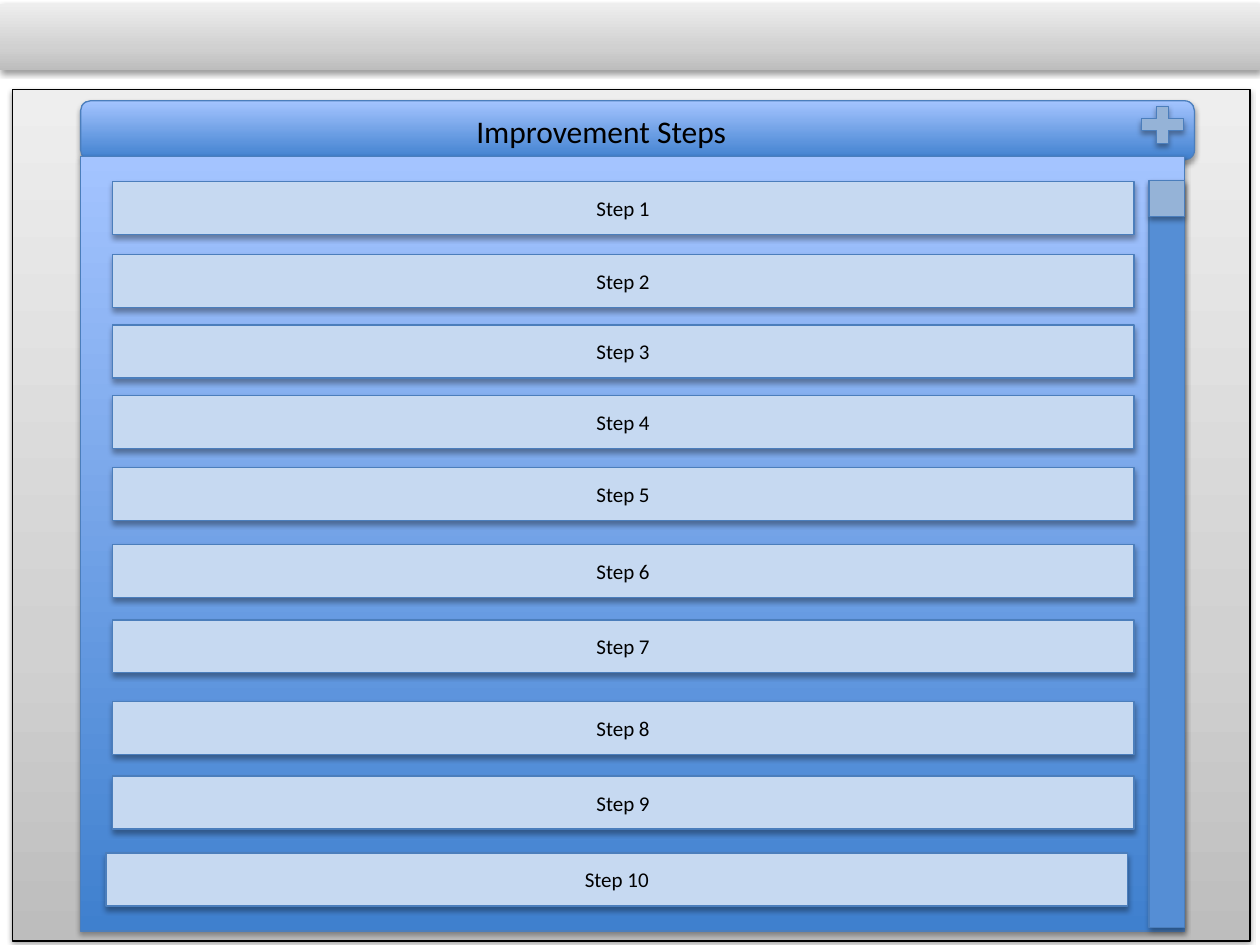
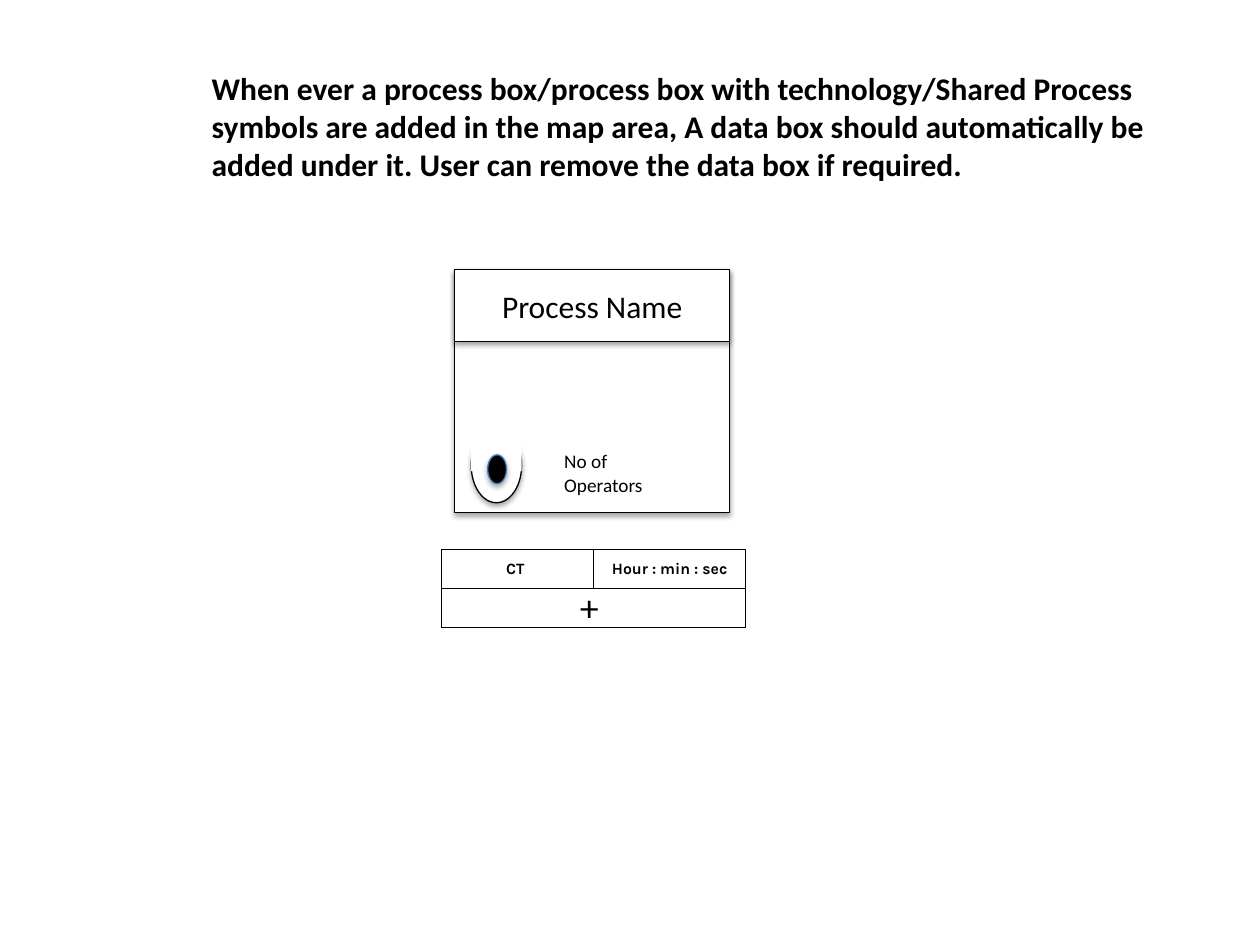
from lxml import etree
from pptx import Presentation
from pptx.dml.color import RGBColor
from pptx.enum.shapes import MSO_SHAPE
from pptx.enum.text import MSO_ANCHOR, MSO_AUTO_SIZE, PP_ALIGN
from pptx.oxml.ns import qn
from pptx.util import Inches, Pt

RECT = MSO_SHAPE.RECTANGLE
ROUNDED = MSO_SHAPE.ROUNDED_RECTANGLE
OVAL = MSO_SHAPE.OVAL
PLUS = MSO_SHAPE.MATH_PLUS
TOP, MIDDLE = MSO_ANCHOR.TOP, MSO_ANCHOR.MIDDLE
LEFT, CENTER = PP_ALIGN.LEFT, PP_ALIGN.CENTER
NO_AUTOFIT = MSO_AUTO_SIZE.NONE

# Shared look
BLACK = RGBColor(0x00, 0x00, 0x00)
WHITE = RGBColor(0xFF, 0xFF, 0xFF)
EDGE_BLUE = RGBColor(0x4B, 0x7E, 0xBC)
STEP_BLUE = RGBColor(0xC6, 0xD9, 0xF1)
TRACK_BLUE = RGBColor(0x55, 0x8E, 0xD5)
HANDLE_BLUE = RGBColor(0x95, 0xB3, 0xD7)
GREY_GRADIENT = [(0, RGBColor(0xBD, 0xBD, 0xBD)), (35, RGBColor(0xD1, 0xD1, 0xD1)),
                 (100, RGBColor(0xEE, 0xEE, 0xEE))]
BLUE_GRADIENT = [(0, RGBColor(0x3F, 0x80, 0xCE)), (100, RGBColor(0xA4, 0xC4, 0xFF))]
FONT, TABLE_FONT = "Calibri", "Karla"

# Grid of 100 columns by 75 rows
SLIDE_WIDTH, SLIDE_HEIGHT = Inches(10), Inches(7.5)
COL, ROW = SLIDE_WIDTH / 100, SLIDE_HEIGHT / 75
TITLE_ONLY = 5

# Step bars: the spacing is uneven, so each has its own row
STEP_ROWS = [14.4, 20.2, 25.8, 31.4, 37.1, 43.2, 49.2, 55.7, 61.6, 67.7]
STEP_COL, LAST_STEP_COL = 8.9, 8.4


def grid(left, top, width, height):
    return [round(left * COL), round(top * ROW), round(width * COL), round(height * ROW)]


def add_element(parent, tag, **attributes):
    return etree.SubElement(parent, qn(tag), attributes)


def add_color(parent, color):
    return add_element(parent, "a:srgbClr", val=str(color))


def paint(shape, fill):
    """Fill with one colour, or with gradient stops that run upwards."""
    if isinstance(fill, RGBColor):
        shape.fill.solid()
        shape.fill.fore_color.rgb = fill
        return
    shape.fill.gradient()
    shape.fill.gradient_angle = 90
    stops = shape.element.spPr.find(".//" + qn("a:gsLst"))
    for stop in list(stops):
        stops.remove(stop)
    for percent, color in fill:
        add_color(add_element(stops, "a:gs", pos=str(percent * 1000)), color)


def cast_shadow(shape, opacity, distance):
    effects = shape.element.spPr.find(qn("a:effectLst"))
    shadow = add_element(effects, "a:outerShdw", blurRad=str(Pt(3.1)),
                         dist=str(Pt(distance)), dir="5400000", rotWithShape="0")
    add_element(add_color(shadow, BLACK), "a:alpha", val=str(opacity * 1000))


def write(frame, text, size, align=LEFT, anchor=TOP, font=FONT, bold=False):
    frame.text = text
    frame.word_wrap = True
    frame.vertical_anchor = anchor
    paragraph = frame.paragraphs[0]
    paragraph.alignment = align
    paragraph.font.name = font
    paragraph.font.size = Pt(size)
    paragraph.font.bold = bold
    paragraph.font.color.rgb = BLACK
    return paragraph


def add_box(shapes, area, fill, edge=EDGE_BLUE, kind=RECT, shadow=(35, 1.8),
            text=None, size=12):
    box = shapes.add_shape(kind, *grid(*area))
    paint(box, fill)
    if edge:
        box.line.color.rgb = edge
        box.line.width = Pt(0.75)
    else:
        box.line.fill.background()
    box.shadow.inherit = False
    if shadow:
        cast_shadow(box, *shadow)
    if text:
        write(box.text_frame, text, size, CENTER, MIDDLE)


def place_title(slide, area, text, bold=False):
    title = slide.shapes.title
    title.left, title.top, title.width, title.height = grid(*area)
    write(title.text_frame, text, 18, bold=bold)
    title.text_frame.auto_size = NO_AUTOFIT
    # Bring the title in front of the panels
    slide.shapes.element.append(title.element)


def border_cell(cell):
    properties = cell._tc.get_or_add_tcPr()
    for index, side in enumerate(("a:lnL", "a:lnR", "a:lnT", "a:lnB")):
        line = etree.Element(qn(side), w=str(Pt(0.5)))
        add_color(add_element(line, "a:solidFill"), BLACK)
        properties.insert(index, line)


def add_data_box(slide, area):
    table = slide.shapes.add_table(2, 2, *grid(*area)).table
    table.first_row = table.horz_banding = False
    for cell in table.iter_cells():
        cell.fill.background()
        border_cell(cell)
        cell.margin_left = cell.margin_right = cell.margin_top = cell.margin_bottom = 0
        cell.vertical_anchor = MIDDLE
    table.cell(1, 0).merge(table.cell(1, 1))
    for row, column, text, size, bold in [(0, 0, "CT ", 9, True),
                                          (0, 1, "Hour : min : sec", 9, True),
                                          (1, 0, "+ ", 20, False)]:
        cell = table.cell(row, column)
        paragraph = write(cell.text_frame, text, size, CENTER, MIDDLE, TABLE_FONT, bold)
        if row == 1:
            paragraph.line_spacing = 0.9
        cell.vertical_anchor = MIDDLE


def build_improvement_steps(slide):
    shapes = slide.shapes
    grey_shadow = (38, 1.6)
    # Backdrop, panel header and panel
    add_box(shapes, (1, 7.1, 98.2, 67.6), GREY_GRADIENT, BLACK, shadow=grey_shadow)
    add_box(shapes, (6.4, 8, 88.4, 4.7), BLUE_GRADIENT, kind=ROUNDED)
    add_box(shapes, (6.4, 12.4, 87.6, 61.5), BLUE_GRADIENT)
    place_title(slide, (36.8, 8.4, 27.6, 4), "Improvement Steps")
    # Scroll bar
    add_box(shapes, (91.2, 14.4, 2.8, 59.2), TRACK_BLUE)
    add_box(shapes, (91.2, 14.3, 2.8, 2.9), HANDLE_BLUE)
    # Steps
    for number, row in enumerate(STEP_ROWS, 1):
        column = LAST_STEP_COL if number == len(STEP_ROWS) else STEP_COL
        add_box(shapes, (column, row, 81.1, 4.2), STEP_BLUE, text=f"Step {number}")
    # Add button and top band
    add_box(shapes, (90, 7.9, 4.5, 4), HANDLE_BLUE, kind=PLUS)
    add_box(shapes, (0, 0.3, 100, 5.3), GREY_GRADIENT, None, shadow=grey_shadow)


def build_process_box(slide):
    # Process box
    process = slide.shapes.add_group_shape().shapes
    add_box(process, (36.1, 21.4, 21.8, 19.3), WHITE, BLACK)
    add_box(process, (36.1, 21.4, 21.8, 5.7), WHITE, BLACK, text="Process Name", size=18)
    # Operator symbol: an oval with its top covered, and a dot
    add_box(process, (37.4, 34, 4, 5.9), WHITE, BLACK, OVAL)
    add_box(process, (37.4, 33.8, 4, 3.6), WHITE, None, shadow=None)
    add_box(process, (38.7, 36.1, 1.5, 2.3), BLACK, kind=OVAL)
    operators = process.add_textbox(*grid(43.8, 35.2, 9.3, 4.7))
    write(operators.text_frame, "No of Operators", 11)
    # Data box and rule
    add_data_box(slide, (35, 43.6, 24.2, 6.2))
    place_title(slide, (15.8, 5, 82, 10.1),
                "When ever a process box/process box with technology/Shared Process "
                "symbols are added in the map area, A data box should automatically be "
                "added under it. User can remove the data box if required.", bold=True)


def main():
    deck = Presentation()
    deck.slide_width, deck.slide_height = SLIDE_WIDTH, SLIDE_HEIGHT
    for build in (build_improvement_steps, build_process_box):
        build(deck.slides.add_slide(deck.slide_layouts[TITLE_ONLY]))
    deck.save("out.pptx")


if __name__ == "__main__":
    main()
